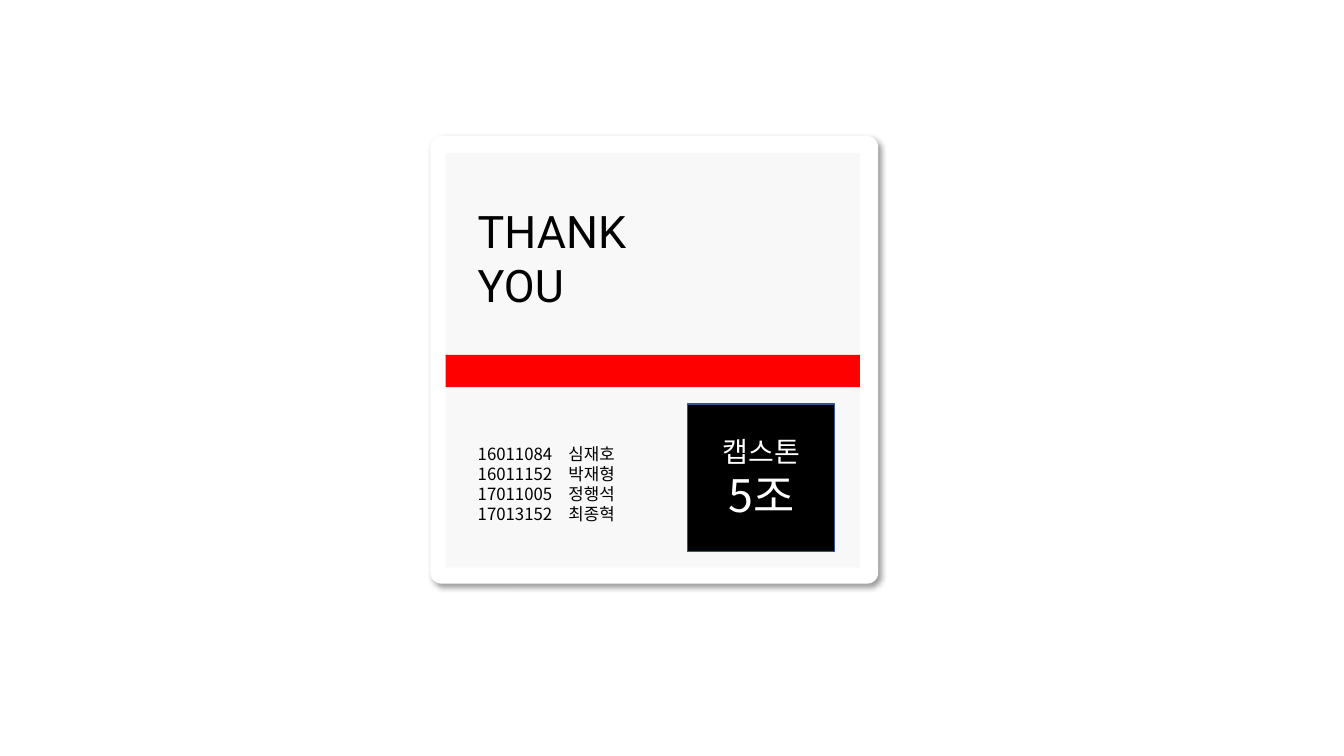
from lxml import etree
from pptx import Presentation
from pptx.dml.color import RGBColor
from pptx.enum.shapes import MSO_SHAPE
from pptx.enum.text import MSO_ANCHOR, MSO_AUTO_SIZE, PP_ALIGN
from pptx.oxml.ns import qn
from pptx.util import Inches, Pt

RECT, ROUNDED = MSO_SHAPE.RECTANGLE, MSO_SHAPE.ROUNDED_RECTANGLE
LEFT, CENTER = PP_ALIGN.LEFT, PP_ALIGN.CENTER
TOP, MIDDLE = MSO_ANCHOR.TOP, MSO_ANCHOR.MIDDLE
GROW = MSO_AUTO_SIZE.SHAPE_TO_FIT_TEXT

WHITE = RGBColor(0xFF, 0xFF, 0xFF)
BLACK = RGBColor(0x00, 0x00, 0x00)
RED = RGBColor(0xFF, 0x00, 0x00)
PALE = RGBColor(0xF3, 0xF3, 0xF3)
BLUE = RGBColor(0x32, 0x54, 0x91)

LATIN, KOREAN = "Roboto", "Noto Sans CJK KR"
MEMBERS = [
    ("16011084", "심재호"),
    ("16011152", "박재형"),
    ("17011005", "정행석"),
    ("17013152", "최종혁"),
]
NAME_TAB = 0.9  # inches from the student number to the name


def within(box, x, y, w, h):
    """Return the box at an offset inside another box, in inches."""
    return box[0] + x, box[1] + y, w, h


def add_block(slide, box, fill, kind=RECT, line=None):
    sp = slide.shapes.add_shape(kind, *map(Inches, box))
    sp.shadow.inherit = False
    sp.fill.solid()
    sp.fill.fore_color.rgb = fill
    if line is None:
        sp.line.fill.background()
    else:
        sp.line.color.rgb = line
        sp.line.width = Pt(1)
    return sp


def add_alpha(color, percent):
    etree.SubElement(color, qn("a:alpha"), val=str(percent * 1000))


def add_shadow(sp):
    effects = sp._element.spPr.find(qn("a:effectLst"))
    shadow = etree.SubElement(
        effects, qn("a:outerShdw"), blurRad=str(Pt(4)), dist=str(Pt(3)),
        dir=str(45 * 60000), algn="tl", rotWithShape="0")
    add_alpha(etree.SubElement(shadow, qn("a:srgbClr"), val=str(BLACK)), 40)


def write_lines(tf, lines, font, color, align=LEFT, tab=None):
    """Fill a text frame with (text, size) lines, one paragraph each."""
    tf.word_wrap = True
    for i, (text, size) in enumerate(lines):
        p = tf.paragraphs[0] if i == 0 else tf.add_paragraph()
        p.alignment = align
        r = p.add_run()
        r.text = text
        for name, value in {"name": font, "size": Pt(size)}.items():
            setattr(r.font, name, value)
        r.font.color.rgb = color
        etree.SubElement(r._r.get_or_add_rPr(), qn("a:ea"), typeface=font)
        if tab:
            stops = etree.SubElement(p._p.get_or_add_pPr(), qn("a:tabLst"))
            etree.SubElement(stops, qn("a:tab"), pos=str(Inches(tab)), algn="l")


def add_text(slide, box, lines, font, tab=None):
    tf = slide.shapes.add_textbox(*map(Inches, box)).text_frame
    tf.auto_size = GROW
    tf.vertical_anchor = TOP
    write_lines(tf, lines, font, BLACK, tab=tab)


def add_card(slide, box):
    """Draw the shadowed card and return the box of its pale panel."""
    card = add_block(slide, box, WHITE, ROUNDED)
    card.adjustments[0] = 0.024
    add_shadow(card)
    panel = within(box, 0.15, 0.17, 4.11, 4.11)
    sp = add_block(slide, panel, PALE)
    add_alpha(sp._element.spPr.find(qn("a:solidFill"))[0], 58)
    return panel


def add_thanks(slide, panel):
    add_text(slide, within(panel, 0.22, 0.45, 2.7, 1.18),
             [("THANK", 32), ("YOU", 32)], LATIN)
    add_block(slide, within(panel, 0, 2, panel[2], 0.32), RED)


def add_team(slide, panel):
    rows = [("\t".join(member), 12) for member in MEMBERS]
    add_text(slide, within(panel, 0.22, 2.83, 1.9, 0.91), rows, KOREAN, NAME_TAB)
    badge = add_block(slide, within(panel, 2.4, 2.49, 1.46, 1.46), BLACK, line=BLUE)
    badge.text_frame.vertical_anchor = MIDDLE
    write_lines(badge.text_frame, [("캡스톤", 20), ("5조", 32)],
                KOREAN, WHITE, CENTER)


def main():
    prs = Presentation()
    prs.slide_width, prs.slide_height = Inches(13.33), Inches(7.5)
    slide = prs.slides.add_slide(prs.slide_layouts[6])
    slide.background.fill.solid()
    slide.background.fill.fore_color.rgb = WHITE
    panel = add_card(slide, (4.27, 1.35, 4.44, 4.44))
    add_thanks(slide, panel)
    add_team(slide, panel)
    prs.save("out.pptx")


if __name__ == "__main__":
    main()
